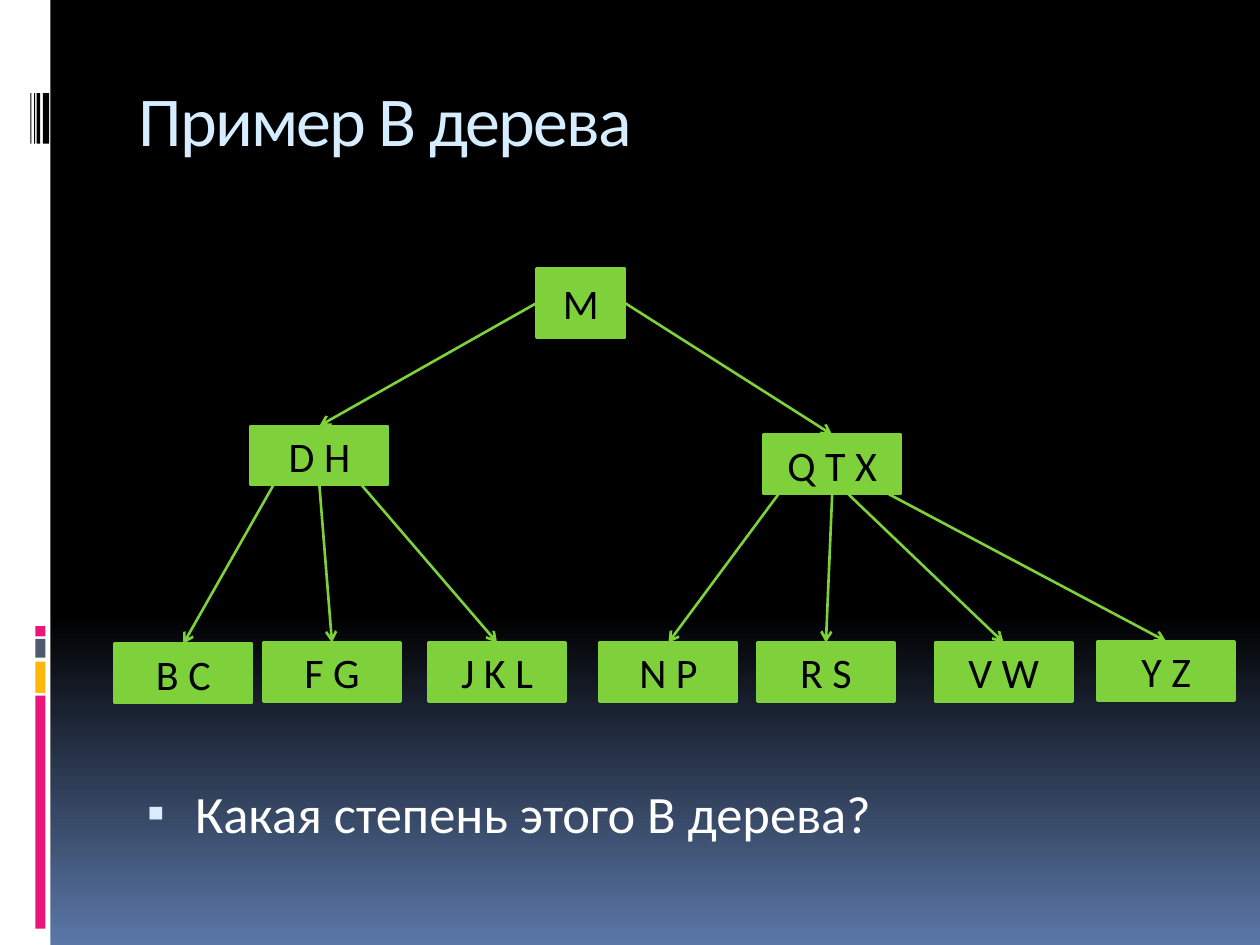
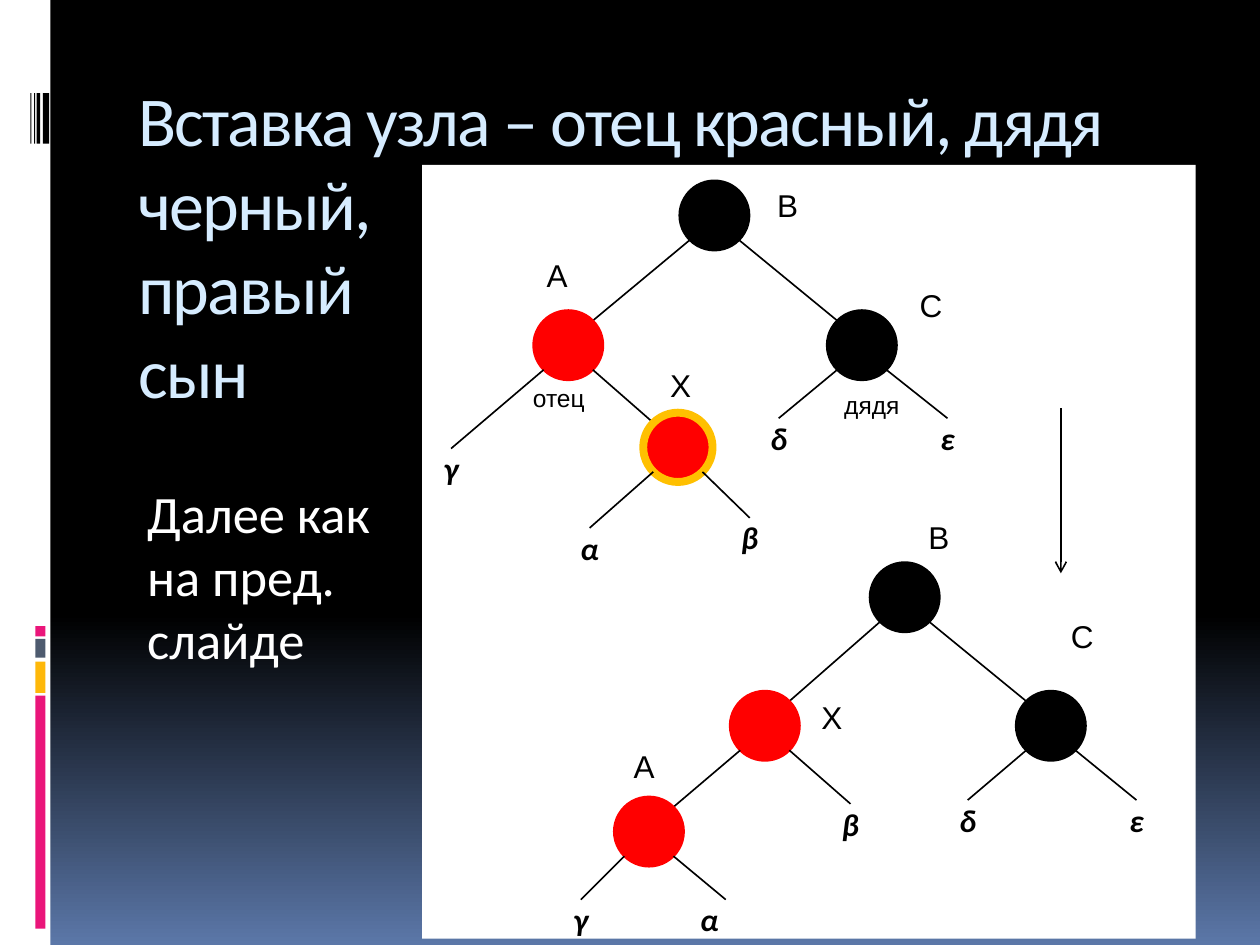
from lxml import etree
from pptx import Presentation
from pptx.dml.color import RGBColor
from pptx.enum.shapes import MSO_CONNECTOR, MSO_SHAPE
from pptx.enum.text import MSO_ANCHOR, PP_ALIGN
from pptx.oxml.ns import qn
from pptx.util import Inches, Pt

RECTANGLE = MSO_SHAPE.RECTANGLE
OVAL = MSO_SHAPE.OVAL
STRAIGHT = MSO_CONNECTOR.STRAIGHT
TOP_ANCHOR, MIDDLE = MSO_ANCHOR.TOP, MSO_ANCHOR.MIDDLE
LEFT_ALIGN, CENTER = PP_ALIGN.LEFT, PP_ALIGN.CENTER
TOP, LEFT, BOTTOM, RIGHT = range(4)

BLACK, WHITE, RED = "000000", "FFFFFF", "FF0000"
GREEN, ORANGE, PALE_BLUE = "7FD13B", "FFC000", "D6ECFF"
PINK, AMBER, SLATE, DEEP_BLUE = "EA157A", "FEB80A", "4E5B6F", "5B77A8"
DIAMETER = 0.55
DIAGONAL = 0.195
LEAF_SIZE = 0.31
EDGE_WIDTH = 0.94

SIDE_BAND = [
    (0, 0, 0.4, 7.5, WHITE),
    (0.28, 5.52, 0.08, 1.85, PINK),
    (0.28, 5.25, 0.08, 0.25, AMBER),
    (0.28, 5.07, 0.08, 0.15, SLATE),
    (0.28, 4.97, 0.08, 0.08, PINK),
    (0.34, 0.74, 0.05, 0.4, BLACK),
    (0.29, 0.74, 0.03, 0.4, BLACK),
    (0.27, 0.74, 0.01, 0.4, BLACK),
    (0.24, 0.74, 0.01, 0.4, BLACK),
]

BLOCKS = {
    "M": (4.26, 2.13, 0.7, 0.55),
    "D H": (1.99, 3.38, 1.09, 0.47),
    "Q T X": (6.06, 3.45, 1.09, 0.47),
    "B C": (0.91, 5.11, 1.09, 0.47),
    "F G": (2.09, 5.1, 1.09, 0.47),
    "J K L": (3.4, 5.1, 1.09, 0.47),
    "N P": (4.76, 5.1, 1.09, 0.47),
    "R S": (6.01, 5.1, 1.09, 0.47),
    "V W": (7.42, 5.1, 1.09, 0.47),
    "Y Z": (8.71, 5.09, 1.09, 0.47),
}
BRANCHES = [
    ("M", LEFT, "D H"),
    ("M", RIGHT, "Q T X"),
    ("D H", (2.17, 3.85), "B C"),
    ("D H", BOTTOM, "F G"),
    ("D H", (2.87, 3.85), "J K L"),
    ("Q T X", (6.18, 3.92), "N P"),
    ("Q T X", BOTTOM, "R S"),
    ("Q T X", (6.73, 3.92), "V W"),
    ("Q T X", (7.05, 3.92), "Y Z"),
]

BEFORE_NODES = [
    ("B", (5.67, 1.71), BLACK, None, (6.07, 1.43)),
    ("A", (4.51, 2.74), RED, "B", (4.24, 1.98)),
    ("C", (6.84, 2.74), BLACK, "B", (7.2, 2.22)),
    ("X", (5.38, 3.55), RED, "A", (5.22, 2.86)),
]
BEFORE_LEAVES = [
    ("γ", "A", (3.58, 3.56)),
    ("α", "X", (4.68, 4.19)),
    ("β", "X", (5.95, 4.11)),
    ("δ", "C", (6.18, 3.32)),
    ("ε", "C", (7.52, 3.32)),
]
AFTER_NODES = [
    ("B", (7.18, 4.74), BLACK, None, (7.27, 4.06)),
    ("X", (6.07, 5.76), RED, "B", (6.42, 5.49)),
    ("C", (8.34, 5.76), BLACK, "B", (8.4, 4.85)),
    ("A", (5.15, 6.6), RED, "X", (4.93, 5.88)),
]
AFTER_LEAVES = [
    ("β", "X", (6.75, 6.38)),
    ("δ", "C", (7.68, 6.35)),
    ("ε", "C", (9.02, 6.35)),
    ("γ", "A", (4.61, 7.14)),
]


def color(value):
    return RGBColor.from_string(value)


def add_block(page, kind, at, fill, outline=None, width=1.5):
    shape = page.shapes.add_shape(kind, *map(Inches, at))
    shape.shadow.inherit = False
    shape.fill.solid()
    shape.fill.fore_color.rgb = color(fill)
    if outline:
        shape.line.color.rgb = color(outline)
        shape.line.width = Pt(width)
    else:
        shape.line.fill.background()
    return shape


def write(frame, lines, size, ink, font="Calibri", bold=False, align=LEFT_ALIGN, tracking=0):
    para = frame.paragraphs[0]
    para.alignment = align
    for index, line in enumerate(lines):
        if index:
            para.add_line_break()
        span = para.add_run()
        span.text = line
        span.font.name = font
        span.font.size = Pt(size)
        span.font.bold = span.font.italic = bold
        span.font.color.rgb = color(ink)
        if tracking:
            span.font._element.set("spc", str(tracking))
    return para


def add_text(page, at, lines, size, ink, anchor=TOP_ANCHOR, inset=None, wrap=True, **style):
    box = page.shapes.add_textbox(*map(Inches, at))
    frame = box.text_frame
    frame.word_wrap = wrap
    frame.vertical_anchor = anchor
    if inset is not None:
        frame.margin_left = frame.margin_right = Inches(inset)
        frame.margin_top = frame.margin_bottom = Inches(inset)
    para = write(frame, lines, size, ink, **style)
    return box, para


def indent(para, left, first=0.0):
    properties = para._p.get_or_add_pPr()
    properties.set("marL", str(Inches(left)))
    properties.set("indent", str(Inches(first)))
    return properties


def add_bullet(para):
    properties = indent(para, 0.45, -0.38)
    tint = etree.SubElement(properties, qn("a:buClr"))
    etree.SubElement(tint, qn("a:srgbClr"), val=PALE_BLUE)
    etree.SubElement(properties, qn("a:buSzPct"), val="95000")
    etree.SubElement(properties, qn("a:buFont"), typeface="Calibri")
    etree.SubElement(properties, qn("a:buChar"), char="▪")


def add_line(page, start, end, ink, width, arrow=False):
    line = page.shapes.add_connector(STRAIGHT, *map(Inches, (*start, *end)))
    line.line.color.rgb = color(ink)
    line.line.width = Pt(width)
    if arrow:
        outline = line.line._get_or_add_ln()
        etree.SubElement(outline, qn("a:tailEnd"), type="arrow")
    etree.SubElement(line._element.spPr, qn("a:effectLst"))
    return line


def paint_background(deck):
    fill = deck.slide_master.background.fill
    fill.gradient()
    fill.gradient_angle = 270
    for stop, position, ink in zip(fill.gradient_stops, (0.65, 1), (BLACK, DEEP_BLUE)):
        stop.position = position
        stop.color.rgb = color(ink)


def add_page(deck, title_lines):
    page = deck.slides.add_slide(deck.slide_layouts[6])
    for *at, fill in SIDE_BAND:
        add_block(page, RECTANGLE, at, fill)
    add_text(page, (1, 0.56, 8.5, 1), title_lines, 40, PALE_BLUE, tracking=-100)
    return page


def add_b_tree(page):
    blocks = {}
    for keys, at in BLOCKS.items():
        blocks[keys] = add_block(page, RECTANGLE, at, GREEN, GREEN)
        frame = blocks[keys].text_frame
        frame.vertical_anchor = MIDDLE
        write(frame, [keys], 24, BLACK, align=CENTER)
    for parent, origin, child in BRANCHES:
        joined = isinstance(origin, int)
        start = (0, 0) if joined else origin
        branch = add_line(page, start, BLOCKS[child][:2], GREEN, 1.5, arrow=True)
        if joined:
            branch.begin_connect(blocks[parent], origin)
        branch.end_connect(blocks[child], TOP)


def diagonal_point(center, toward, vertical):
    side = 1 if toward[0] > center[0] else -1
    return center[0] + side * DIAGONAL, center[1] + vertical * DIAGONAL


def add_leaf(page, letter, tip):
    at = (tip[0] - LEAF_SIZE / 2, tip[1], LEAF_SIZE, LEAF_SIZE)
    leaf, _ = add_text(page, at, [letter], 18, BLACK, anchor=MIDDLE, inset=0,
                       bold=True, align=CENTER)
    return leaf


def add_red_black_tree(page, nodes, leaves, inserted=None):
    centers = {name: center for name, center, *_ in nodes}
    for name, center, fill, parent, label_at in nodes:
        if parent:
            above = centers[parent]
            add_line(page, diagonal_point(above, center, 1),
                     diagonal_point(center, above, -1), BLACK, EDGE_WIDTH)
        corner = [value - DIAMETER / 2 for value in center]
        outline, width = (ORANGE, 4.5) if name == inserted else (fill, 1.5)
        add_block(page, OVAL, (*corner, DIAMETER, DIAMETER), fill, outline, width)
        add_text(page, (*label_at, 0.37, 0.4), [name], 18, BLACK, wrap=False, font="Arial")
    for letter, parent, tip in leaves:
        start = diagonal_point(centers[parent], tip, 1)
        edge = add_line(page, start, tip, BLACK, EDGE_WIDTH)
        edge.end_connect(add_leaf(page, letter, tip), TOP)
    return centers


def build_b_tree_page(deck):
    page = add_page(deck, ["Пример B дерева"])
    _, question = add_text(page, (1, 6.15, 8.5, 0.8), ["Какая степень этого В дерева?"],
                           30, WHITE)
    add_bullet(question)
    add_b_tree(page)


def build_insertion_page(deck):
    page = add_page(deck, ["Вставка узла – отец красный, дядя черный,", "правый", "сын"])
    _, remark = add_text(page, (1, 3.77, 2.43, 1.7), ["Далее как на пред. слайде"], 30, WHITE)
    indent(remark, 0.07)
    add_block(page, RECTANGLE, (3.35, 1.31, 6.14, 6.14), WHITE)
    add_red_black_tree(page, BEFORE_NODES, BEFORE_LEAVES, inserted="X")
    for role, at in (("отец", (4.23, 3.06, 0.67, 0.2)), ("дядя", (6.7, 3.13, 0.51, 0.16))):
        add_text(page, at, [role], 14, BLACK, anchor=MIDDLE, inset=0, font="Arial")
    centers = add_red_black_tree(page, AFTER_NODES, AFTER_LEAVES)
    alpha_tip = (5.76, 7.14)
    add_line(page, diagonal_point(centers["A"], alpha_tip, 1), alpha_tip, BLACK, EDGE_WIDTH)
    add_leaf(page, "α", (5.63, 7.14))
    add_line(page, (8.42, 3.24), (8.42, 4.55), BLACK, EDGE_WIDTH, arrow=True)


def main():
    deck = Presentation()
    deck.slide_width, deck.slide_height = Inches(10), Inches(7.5)
    paint_background(deck)
    build_b_tree_page(deck)
    build_insertion_page(deck)
    deck.save("out.pptx")


if __name__ == "__main__":
    main()
